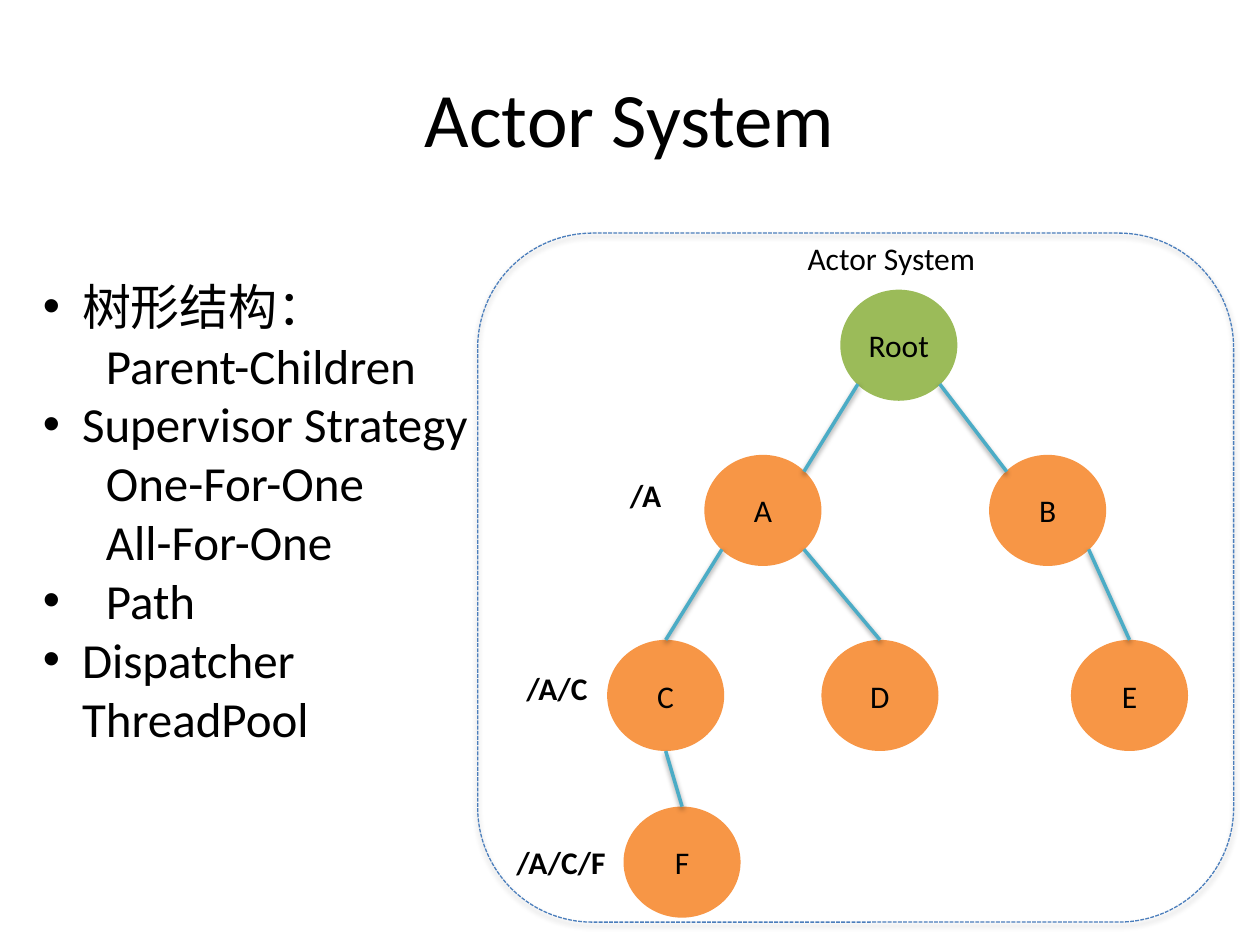
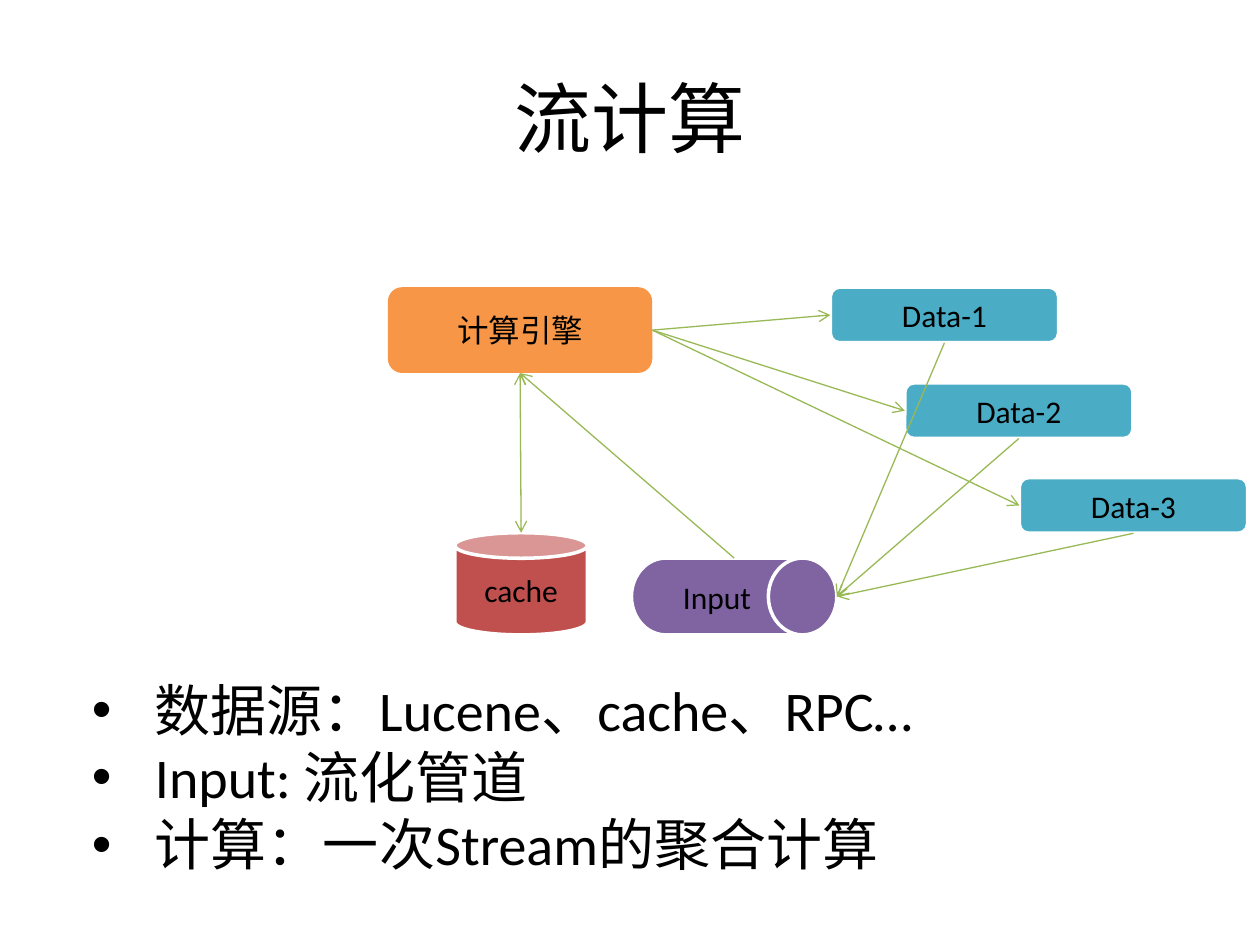
from collections import namedtuple
from dataclasses import dataclass

from lxml import etree
from pptx import Presentation
from pptx.dml.color import RGBColor
from pptx.enum.dml import MSO_LINE
from pptx.enum.shapes import MSO_CONNECTOR, MSO_SHAPE as Preset
from pptx.enum.text import MSO_ANCHOR, MSO_AUTO_SIZE, PP_ALIGN
from pptx.oxml.ns import qn
from pptx.util import Cm, Pt


@dataclass(frozen=True)
class Theme:
    font: str = "Calibri"
    title_size: float = 44
    tree_list_size: float = 28
    stream_list_size: float = 32
    label_size: float = 18
    text: str = "000000"
    white: str = "FFFFFF"
    frame: str = "4B7EBC"
    green: str = "9BBB59"
    arrow: str = "98B955"
    orange: str = "F79646"
    teal: str = "4BACC6"
    red: str = "C0504D"
    purple: str = "8064A2"
    thin: float = 0.75
    thick: float = 2


THEME = Theme()
Item = namedtuple("Item", "text margin bullet", defaults=(1.27, True))

# Places on a shape, as shares of its width and height.
TOP, BOTTOM, LEFT, RIGHT = (0.5, 0), (0.5, 1), (0, 0.5), (1, 0.5)
UPPER_LEFT, UPPER_RIGHT = (0.15, 0.15), (0.85, 0.15)
LOWER_LEFT, LOWER_RIGHT = (0.15, 0.85), (0.85, 0.85)


def color(value):
    return RGBColor.from_string(value)


def style_paragraph(para, size, bold=None, align=None):
    para.font.name = THEME.font
    para.font.size = Pt(size)
    para.font.bold = bold
    para.font.color.rgb = color(THEME.text)
    para.alignment = align


def place(shape, left, top, width, height):
    shape.left, shape.top = Cm(left), Cm(top)
    shape.width, shape.height = Cm(width), Cm(height)


def set_line(line, line_color, width):
    line.color.rgb = color(line_color)
    line.width = Pt(width)


def set_shadow(shape, distance=None, opacity=0):
    """Replace the theme's shadow by a soft one below, or by none."""
    properties = shape.element.spPr
    for effects in properties.findall(qn("a:effectLst")):
        properties.remove(effects)
    effects = etree.SubElement(properties, qn("a:effectLst"))
    if distance is not None:
        shadow = etree.SubElement(
            effects, qn("a:outerShdw"), blurRad=str(Pt(3.1)), dist=str(Pt(distance)),
            dir="5400000", rotWithShape="0")
        black = etree.SubElement(shadow, qn("a:srgbClr"), val="000000")
        etree.SubElement(black, qn("a:alpha"), val=str(opacity * 1000))


def add_slide(deck, title):
    slide = deck.slides.add_slide(deck.slide_layouts[1])
    box = slide.shapes.title
    place(box, 1.27, 0.76, 22.86, 3.18)
    box.text_frame.text = title
    box.text_frame.vertical_anchor = MSO_ANCHOR.MIDDLE
    style_paragraph(box.text_frame.paragraphs[0], THEME.title_size, align=PP_ALIGN.CENTER)
    return slide


def fill_list(slide, items, size, bounds):
    body = slide.placeholders[1]
    place(body, *bounds)
    frame = body.text_frame
    frame.auto_size = MSO_AUTO_SIZE.NONE
    frame.text = "\n".join(item.text for item in items)
    for para, item in zip(frame.paragraphs, items):
        para.space_before = Pt(0)
        style_paragraph(para, size)
        properties = para._p.get_or_add_pPr()
        margin = Cm(item.margin)
        properties.set("marL", str(margin))
        properties.set("indent", str(-margin if item.bullet else 0))
        if not item.bullet:
            bullet = etree.Element(qn("a:buNone"))
            properties.find(qn("a:defRPr")).addprevious(bullet)


def add_block(slide, preset, text, bounds, fill, outline=THEME.white):
    """Add a filled shape with a centred caption; outline None means no line."""
    block = slide.shapes.add_shape(preset, *map(Cm, bounds))
    block.shadow.inherit = False
    block.fill.solid()
    block.fill.fore_color.rgb = color(fill)
    if outline:
        set_line(block.line, outline, THEME.thick)
    else:
        block.line.fill.background()
    frame = block.text_frame
    frame.text = text
    frame.vertical_anchor = MSO_ANCHOR.MIDDLE
    style_paragraph(frame.paragraphs[0], THEME.label_size, align=PP_ALIGN.CENTER)
    return block


def add_node(slide, name, left, top, fill=THEME.orange):
    node = add_block(slide, Preset.OVAL, name, (left, top, 2.36, 2.24), fill, None)
    frame = node.text_frame
    frame.margin_left = frame.margin_right = Cm(0.1)
    return node


def add_label(slide, text, left, top, width, bold=None):
    box = slide.shapes.add_textbox(Cm(left), Cm(top), Cm(width), Cm(1.02))
    box.text_frame.word_wrap = True
    box.text_frame.text = text
    style_paragraph(box.text_frame.paragraphs[0], THEME.label_size, bold)


def point_on(shape, place_share):
    across, down = place_share
    return (round(shape.left + across * shape.width),
            round(shape.top + down * shape.height))


def add_link(slide, start, start_place, end, end_place, line_color, width):
    link = slide.shapes.add_connector(
        MSO_CONNECTOR.STRAIGHT, *point_on(start, start_place), *point_on(end, end_place))
    set_line(link.line, line_color, width)
    set_shadow(link)
    return link


def add_branch(slide, parent, parent_place, child, child_place):
    branch = add_link(slide, parent, parent_place, child, child_place,
                      THEME.teal, THEME.thick)
    set_shadow(branch, 1.6, 38)


def add_arrow(slide, start, start_place, end, end_place, both_ends=False):
    arrow = add_link(slide, start, start_place, end, end_place, THEME.arrow, THEME.thin)
    line = arrow.element.spPr.find(qn("a:ln"))
    for tag in ("a:headEnd", "a:tailEnd") if both_ends else ("a:tailEnd",):
        etree.SubElement(line, qn(tag), type="arrow")


def add_system_frame(slide):
    frame = slide.shapes.add_shape(
        Preset.ROUNDED_RECTANGLE, Cm(9.63), Cm(4.7), Cm(15.24), Cm(13.89))
    frame.fill.background()
    set_line(frame.line, THEME.frame, THEME.thin)
    frame.line.dash_style = MSO_LINE.SQUARE_DOT
    set_shadow(frame, 1.8, 35)


def build_actor_slide(deck):
    slide = add_slide(deck, "Actor System")
    add_system_frame(slide)

    second_row, third_row = 9.17, 12.9
    root = add_node(slide, "Root", 16.94, 5.84, THEME.green)
    a = add_node(slide, "A", 14.2, second_row)
    b = add_node(slide, "B", 19.94, second_row)
    c = add_node(slide, "C", 12.24, third_row)
    d = add_node(slide, "D", 16.56, third_row)
    e = add_node(slide, "E", 21.59, third_row)
    f = add_node(slide, "F", 12.57, 16.26)
    for branch in (
        (root, LOWER_RIGHT, b, UPPER_LEFT),
        (root, LOWER_LEFT, a, UPPER_RIGHT),
        (a, LOWER_LEFT, c, TOP),
        (a, LOWER_RIGHT, d, TOP),
        (c, BOTTOM, f, TOP),
        (b, LOWER_RIGHT, e, TOP),
    ):
        add_branch(slide, *branch)

    add_label(slide, "/A", 12.45, 9.47, 1.5, bold=True)
    add_label(slide, "/A/C", 10.36, 13.36, 2.06, bold=True)
    add_label(slide, "/A/C/F", 10.16, 16.87, 2.49, bold=True)
    add_label(slide, "Actor System", 16.03, 4.7, 5.79)

    items = (
        Item("树形结构：", 0.79),
        Item("Parent-Children", bullet=False),
        Item("Supervisor Strategy", 0.79),
        Item("One-For-One", bullet=False),
        Item("All-For-One", bullet=False),
        Item("Path"),
        Item("Dispatcher\vThreadPool", 0.79),
    )
    fill_list(slide, items, THEME.tree_list_size, (0.61, 5.44, 9.78, 9.83))


def build_stream_slide(deck):
    slide = add_slide(deck, "流计算")
    engine = add_block(slide, Preset.ROUNDED_RECTANGLE, "计算引擎",
                       (7.82, 5.79, 5.33, 1.73), THEME.orange, None)
    sources = [
        add_block(slide, Preset.ROUNDED_RECTANGLE, f"Data-{number}",
                  (left, top, 4.6, 1.12), THEME.teal)
        for number, (left, top) in enumerate(
            ((16.74, 5.79), (18.24, 7.72), (20.55, 9.63)), start=1)
    ]
    cache = add_block(slide, Preset.CAN, "cache", (9.17, 10.74, 2.67, 2.06), THEME.red)
    pipe = add_block(slide, Preset.FLOWCHART_DIRECT_ACCESS_STORAGE, "Input",
                     (12.73, 11.25, 4.14, 1.55), THEME.purple)

    for source in sources:
        add_arrow(slide, engine, RIGHT, source, LEFT)
        add_arrow(slide, source, BOTTOM, pipe, RIGHT)
    add_arrow(slide, pipe, TOP, engine, BOTTOM)
    add_arrow(slide, engine, BOTTOM, cache, TOP, both_ends=True)

    items = (
        Item("数据源：Lucene、cache、RPC…"),
        Item("Input: 流化管道"),
        Item("计算：一次Stream的聚合计算"),
    )
    fill_list(slide, items, THEME.stream_list_size, (1.6, 13.49, 22.53, 4.37))


def main():
    deck = Presentation()
    deck.slide_width, deck.slide_height = Cm(25.4), Cm(19.05)
    build_actor_slide(deck)
    build_stream_slide(deck)
    deck.save("out.pptx")


if __name__ == "__main__":
    main()
